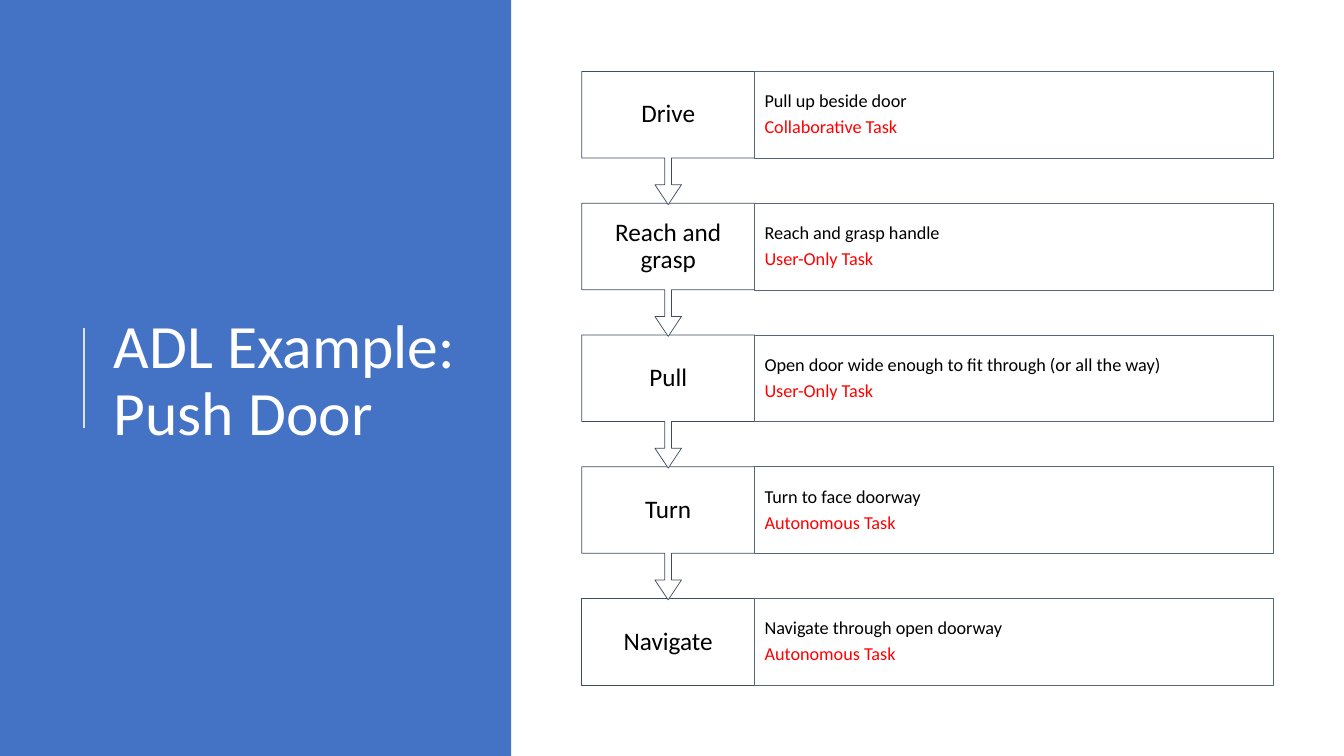
from pptx import Presentation
from pptx.dml.color import RGBColor
from pptx.enum import shapes, text
from pptx.util import Inches, Pt
from lxml import etree

COLORS = {
    "panel": "4472C4",
    "divider": "DAE3F4",
    "white": "FFFFFF",
    "black": "000000",
    "red": "FF0000",
    "step_line": "3E4C60",
    "detail_line": "576579",
}
FONT = "Calibri"
STEPS = [
    ("Drive", "Pull up beside door", "Collaborative Task"),
    ("Reach and grasp", "Reach and grasp handle", "User-Only Task"),
    ("Pull", "Open door wide enough to fit through (or all the way)", "User-Only Task"),
    ("Turn", "Turn to face doorway", "Autonomous Task"),
    ("Navigate", "Navigate through open doorway", "Autonomous Task"),
]
TOP, PITCH = 0.71, 1.307
STEP_LEFT, STEP_WIDTH = 5.77, 1.715
DETAIL_WIDTH = 5.14
BOX_HEIGHT, CALLOUT_HEIGHT = 0.86, 1.32


def color(name):
    return RGBColor.from_string(COLORS[name])


def add_box(s, kind, box, fill, line=None):
    sp = s.shapes.add_shape(kind, *map(Inches, box))
    sp.shadow.inherit = False
    sp.fill.solid()
    sp.fill.fore_color.rgb = color(fill)
    if line:
        sp.line.color.rgb = color(line)
        sp.line.width = Pt(0.5)
    else:
        sp.line.fill.background()
    return sp


def write(sp, lines, size, align, insets=(0.1, 0.05), after=0):
    tf = sp.text_frame
    tf.word_wrap = True
    tf.vertical_anchor = text.MSO_ANCHOR.MIDDLE
    tf.margin_left = tf.margin_right = Inches(insets[0])
    tf.margin_top = tf.margin_bottom = Inches(insets[1])
    for i, (words, ink) in enumerate(lines):
        p = tf.add_paragraph() if i else tf.paragraphs[0]
        p.text = words
        p.alignment = align
        p.line_spacing = 0.9
        p.space_after = Pt(after)
        p.font.name = FONT
        p.font.size = Pt(size)
        p.font.color.rgb = color(ink)


def add_divider(s, x, top, bottom):
    line = s.shapes.add_connector(
        shapes.MSO_CONNECTOR.STRAIGHT, Inches(x), Inches(bottom), Inches(x), Inches(top))
    line.line.color.rgb = color("divider")
    line.line.width = Pt(1.5)
    namespace = "http://schemas.openxmlformats.org/drawingml/2006/main"
    etree.SubElement(line._element.spPr, f"{{{namespace}}}effectLst")


def add_title(s, words):
    sp = s.shapes.add_textbox(Inches(1.03), Inches(0.78), Inches(3.69), Inches(6.02))
    write(sp, [(words, "white")], 44, text.PP_ALIGN.LEFT)


def add_step(s, top, name, action, task, is_last):
    if is_last:
        kind, height = shapes.MSO_SHAPE.RECTANGLE, BOX_HEIGHT
    else:
        kind, height = shapes.MSO_SHAPE.DOWN_ARROW_CALLOUT, CALLOUT_HEIGHT
    step = add_box(s, kind, (STEP_LEFT, top, STEP_WIDTH, height), "white", "step_line")
    if not is_last:
        for i, value in enumerate((0.05, 0.1, 0.15, 0.65)):
            step.adjustments[i] = value
    write(step, [(name, "black")], 18, text.PP_ALIGN.CENTER, (0.12, 0.14))

    detail = add_box(s, shapes.MSO_SHAPE.RECTANGLE,
                     (STEP_LEFT + STEP_WIDTH, top, DETAIL_WIDTH, BOX_HEIGHT),
                     "white", "detail_line")
    write(detail, [(action, "black"), (task, "red")], 13, text.PP_ALIGN.LEFT,
          (0.1, 0.18), 4.5)


def main():
    prs = Presentation()
    prs.slide_width, prs.slide_height = Inches(13.33), Inches(7.5)
    s = prs.slides.add_slide(prs.slide_layouts[6])
    add_box(s, shapes.MSO_SHAPE.RECTANGLE, (0, 0, 5.07, 7.5), "panel")
    add_divider(s, 0.83, 3.25, 4.25)
    add_title(s, "ADL Example: Push Door")
    last = len(STEPS) - 1
    for i, step in reversed(list(enumerate(STEPS))):
        add_step(s, TOP + i * PITCH, *step, is_last=i == last)
    prs.save("out.pptx")


if __name__ == "__main__":
    main()
